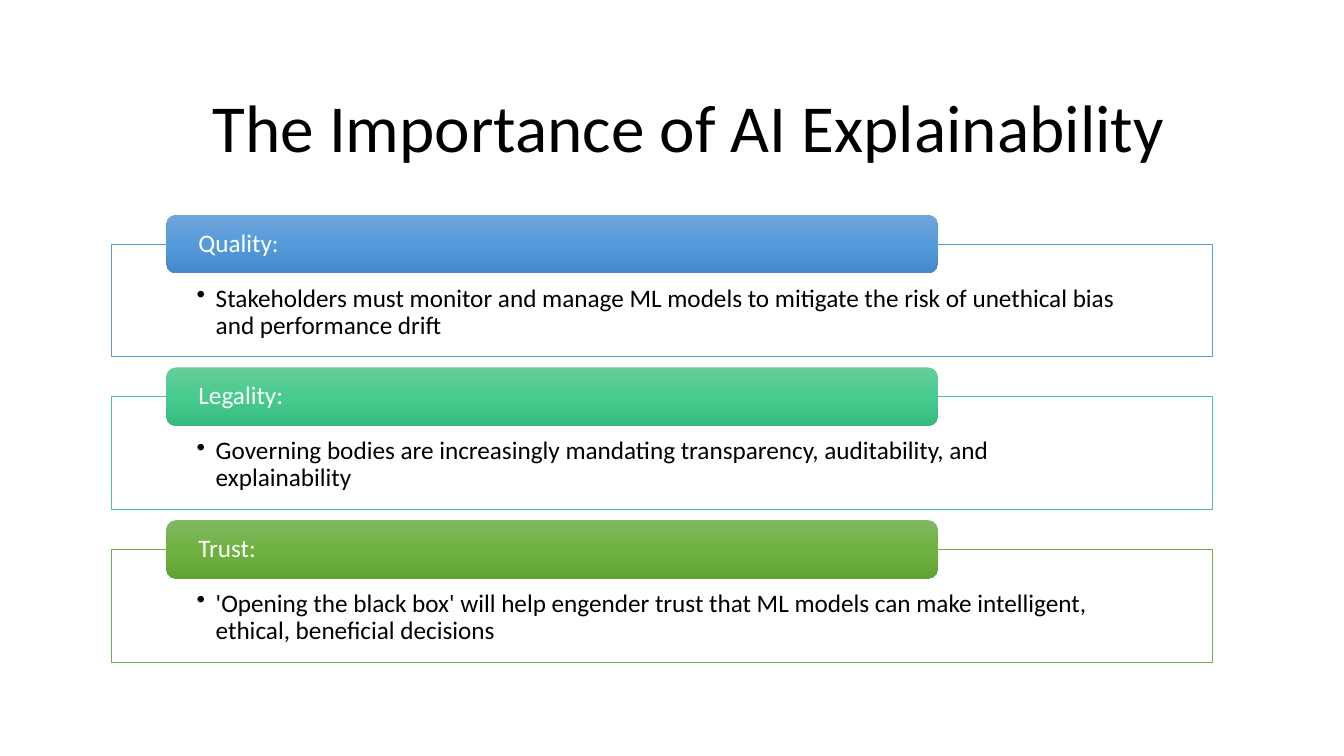
from copy import deepcopy
from dataclasses import dataclass

from pptx import Presentation
from pptx.dml.color import RGBColor
from pptx.enum import shapes, text
from pptx.oxml import parse_xml
from pptx.oxml.ns import nsdecls, qn
from pptx.util import Inches, Pt

TITLE = "The Importance of AI Explainability"
# heading, detail, frame line, banner gradient from top to bottom
REASONS = [
    ("Quality:",
     "Stakeholders must monitor and manage ML models to mitigate the risk of "
     "unethical bias and performance drift",
     "5B9BD5", ("71A6DB", "559BDB", "448ACA")),
    ("Legality:",
     "Governing bodies are increasingly mandating transparency, auditability, "
     "and explainability",
     "4DC58D", ("67CC9A", "47CB8E", "39BB7F")),
    ("Trust:",
     "'Opening the black box' will help engender trust that ML models can make "
     "intelligent, ethical, beneficial decisions",
     "70AD47", ("81B861", "6FB242", "62A336")),
]


@dataclass(frozen=True)
class Theme:
    font: str = "Calibri"
    title_size: int = 48
    text_size: int = 18
    dark: str = "000000"
    light: str = "FFFFFF"


THEME = Theme()
FRAME_LEFT, FRAME_TOP, FRAME_W, FRAME_H = 1.1, 2.42, 10.93, 1.12
BANNER_LEFT, BANNER_W, BANNER_H = 1.65, 7.65, 0.58
PITCH = 1.515
BULLET_INDENT = 0.19


def rgb(value):
    return RGBColor.from_string(value)


def write(tf, words, size, color, align, anchor, insets=None):
    tf.text = words
    tf.word_wrap = True
    tf.vertical_anchor = anchor
    if insets:
        tf.margin_left, tf.margin_top, tf.margin_right, tf.margin_bottom = map(Inches, insets)
    p = tf.paragraphs[0]
    p.alignment = align
    p.line_spacing = 0.9
    font = p.runs[0].font
    font.name, font.size, font.color.rgb = THEME.font, Pt(size), rgb(color)
    return p


def add_bullet(p):
    pPr = p._p.get_or_add_pPr()
    pPr.set("marL", str(Inches(BULLET_INDENT)))
    pPr.set("indent", str(-Inches(BULLET_INDENT)))
    pPr.append(parse_xml(f'<a:buChar {nsdecls("a")} char="•"/>'))


def fill_gradient(sp, colors):
    """Fill with three evenly spaced stops running from top to bottom."""
    sp.fill.gradient()
    sp.fill.gradient_angle = 270
    stops = sp._element.spPr.find(".//" + qn("a:gsLst"))
    stops.insert(1, deepcopy(stops[0]))
    for i, (stop, color) in enumerate(zip(sp.fill.gradient_stops, colors)):
        stop.position = i / 2
        stop.color.rgb = rgb(color)


def add_box(s, kind, *place):
    sp = s.shapes.add_shape(kind, *map(Inches, place))
    sp.shadow.inherit = False
    return sp


def add_reason(s, top, heading, detail, line, gradient):
    frame = add_box(s, shapes.MSO_SHAPE.RECTANGLE, FRAME_LEFT, top, FRAME_W, FRAME_H)
    frame.fill.solid()
    frame.fill.fore_color.rgb = rgb(THEME.light)
    frame.line.color.rgb = rgb(line)
    frame.line.width = Pt(0.5)
    p = write(frame.text_frame, detail, THEME.text_size, THEME.dark, text.PP_ALIGN.LEFT,
              text.MSO_ANCHOR.TOP, (0.85, 0.41, 0.85, 0.14))
    add_bullet(p)

    banner = add_box(s, shapes.MSO_SHAPE.ROUNDED_RECTANGLE,
                     BANNER_LEFT, top - BANNER_H / 2, BANNER_W, BANNER_H)
    fill_gradient(banner, gradient)
    banner.line.fill.background()
    write(banner.text_frame, heading, THEME.text_size, THEME.light, text.PP_ALIGN.LEFT,
          text.MSO_ANCHOR.MIDDLE, (0.29, 0, 0.29, 0))


def main():
    prs = Presentation()
    prs.slide_width, prs.slide_height = Inches(13.33), Inches(7.5)
    s = prs.slides.add_slide(prs.slide_layouts[5])
    title = s.shapes.title
    title.left, title.top, title.width, title.height = map(Inches, (1.08, 0.57, 11.5, 1.45))
    write(title.text_frame, TITLE, THEME.title_size, THEME.dark, text.PP_ALIGN.CENTER,
          text.MSO_ANCHOR.MIDDLE)
    for i, reason in enumerate(REASONS):
        add_reason(s, FRAME_TOP + i * PITCH, *reason)
    prs.save("out.pptx")


if __name__ == "__main__":
    main()
